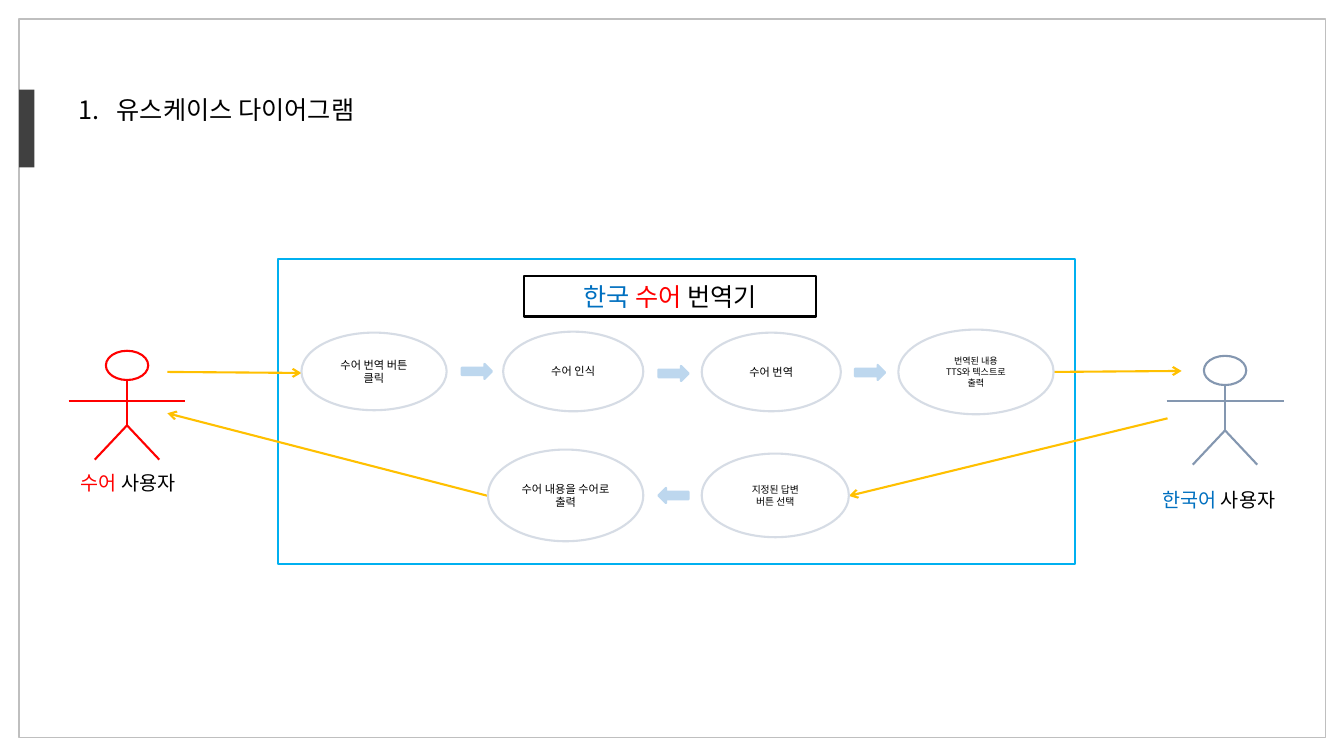
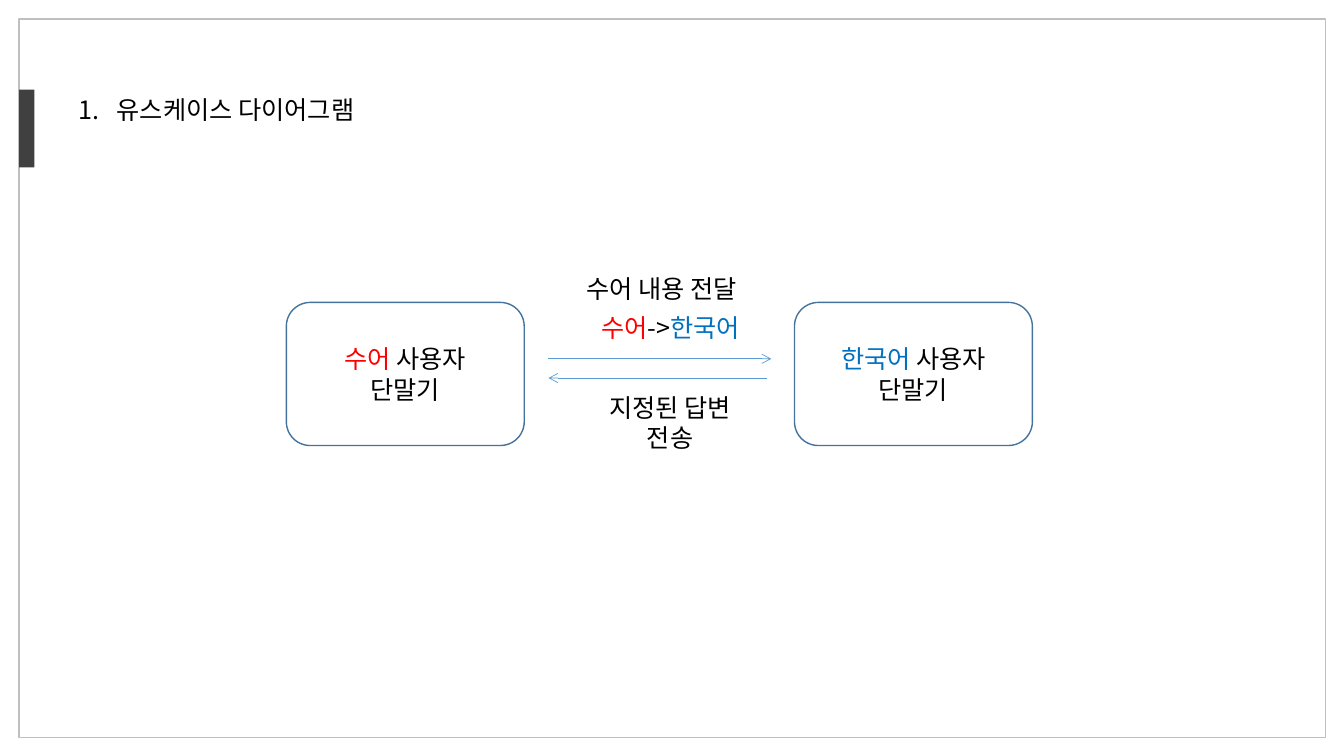
from dataclasses import dataclass

from lxml import etree
from pptx import Presentation
from pptx.dml.color import RGBColor
from pptx.enum import shapes, text
from pptx.oxml import ns
from pptx.util import Inches, Pt

FONT = "Noto Sans CJK KR"
BLACK, WHITE, RED, BLUE = "000000", "FFFFFF", "FF0000", "0070C0"
GREY, DARK, CYAN, SLATE = "BFBFBF", "404040", "00B0F0", "8497B0"
GOLD, PALE, MIST, NAVY, SKY = "FFC000", "BDD7EE", "D6DCE5", "43739E", "5B9BD5"

KIND = shapes.MSO_SHAPE
LEFT, MID = text.PP_ALIGN.LEFT, text.PP_ALIGN.CENTER
TOP, CENTER = text.MSO_ANCHOR.TOP, text.MSO_ANCHOR.MIDDLE

Box = tuple[float, float, float, float]
Spot = tuple[float, float]
Paras = list[list[tuple[str, str]]]  # paragraphs of (words, colour) runs


@dataclass
class Step:
    box: Box
    size: float
    lines: list[str]


@dataclass
class User:
    x: float
    top: float
    color: str
    label: Box
    runs: list[tuple[str, str]]


@dataclass
class Device:
    x: float
    name: str
    color: str


@dataclass
class Note:
    box: Box
    paras: Paras
    align: text.PP_ALIGN = MID
    wrap: bool = False


@dataclass
class Link:
    start: Spot
    end: Spot


STEPS = [
    Step((2.99, 3.3, 1.44, 0.77), 8, ["수어 번역 버튼 클릭"]),
    Step((4.99, 3.29, 1.39, 0.79), 8, ["수어 인식"]),
    Step((6.96, 3.3, 1.38, 0.78), 8, ["수어 번역"]),
    Step((8.91, 3.27, 1.54, 0.84), 6.5, ["번역된 내용", "TTS와 텍스트로", "출력"]),
    Step((6.96, 4.5, 1.46, 0.83), 7, ["지정된 답변", "버튼 선택"]),
    Step((4.84, 4.46, 1.54, 0.91), 8, ["수어 내용을 수어로 출력"]),
]
FLOWS = [(4.58, 3.61, 0), (6.53, 3.63, 0), (8.48, 3.62, 0), (6.53, 4.84, 180)]
USERS = [
    User(1.26, 3.48, RED, (0.7, 4.62, 1.25, 0.34),
         [("수어", RED), (" 사용자", BLACK)]),
    User(12.15, 3.53, SLATE, (11.43, 4.79, 1.44, 0.34),
         [("한국어 ", BLUE), ("사용자", BLACK)]),
]
CALLS = [
    Link((1.66, 3.69), (2.99, 3.7)),
    Link((10.45, 3.69), (11.72, 3.68)),
    Link((4.84, 4.92), (1.66, 4.1)),
    Link((11.58, 4.15), (8.42, 4.92)),
]
DEVICES = [Device(2.84, "수어 ", RED), Device(7.88, "한국어 ", BLUE)]
NOTES = [
    Note((5.72, 2.66, 1.9, 0.4), [[("수어 내용 전달", BLACK)]], LEFT),
    Note((5.65, 3.05, 2, 0.4),
         [[("수어", RED), ("->", BLACK), ("한국어", BLUE)]], wrap=True),
    Note((5.87, 3.84, 1.55, 0.71),
         [[("지정된 답변", BLACK)], [("전송", BLACK)]]),
]
SENDS = [Link((5.44, 3.56), (7.65, 3.56)), Link((7.61, 3.75), (5.44, 3.75))]


def rgb(code: str) -> RGBColor:
    return RGBColor.from_string(code)


def write(shape, paras: Paras, size: float, align=MID, anchor=CENTER) -> None:
    frame = shape.text_frame
    frame.vertical_anchor = anchor
    for i, runs in enumerate(paras):
        para = frame.add_paragraph() if i else frame.paragraphs[0]
        para.alignment = align
        for words, color in runs:
            run = para.add_run()
            run.text = words
            font = run.font
            font.size, font.name = Pt(size), FONT
            font.color.rgb = rgb(color)
            east = etree.SubElement(run._r.get_or_add_rPr(), ns.qn("a:ea"))
            east.set("typeface", FONT)


def draw(slide, kind, box: Box, fill: str = "", line: str = "",
         width: float = 1.5):
    """Add a preset shape; an empty colour means no fill or no line."""
    shape = slide.shapes.add_shape(kind, *map(Inches, box))
    shape.shadow.inherit = False
    if fill:
        shape.fill.solid()
        shape.fill.fore_color.rgb = rgb(fill)
    else:
        shape.fill.background()
    if line:
        shape.line.color.rgb = rgb(line)
        shape.line.width = Pt(width)
    else:
        shape.line.fill.background()
    return shape


def join(slide, start: Spot, end: Spot, color: str, width: float = 1.5,
         head: bool = False) -> None:
    """Add a straight line, with an arrowhead at its end if asked."""
    wire = slide.shapes.add_connector(
        shapes.MSO_CONNECTOR.STRAIGHT, *map(Inches, start + end))
    wire.line.color.rgb = rgb(color)
    wire.line.width = Pt(width)
    if head:
        tip = etree.SubElement(wire.line._get_or_add_ln(), ns.qn("a:tailEnd"))
        tip.set("type", "arrow")
    etree.SubElement(wire._element.spPr, ns.qn("a:effectLst"))


def label(slide, box: Box, paras: Paras, size: float, align=LEFT,
          wrap: bool = False):
    area = slide.shapes.add_textbox(*map(Inches, box))
    area.text_frame.word_wrap = wrap
    area.text_frame.auto_size = text.MSO_AUTO_SIZE.SHAPE_TO_FIT_TEXT
    write(area, paras, size, align, TOP)
    return area


def start(deck):
    """Add a slide with the shared border, side band and numbered title."""
    slide = deck.slides.add_slide(deck.slide_layouts[6])
    draw(slide, KIND.RECTANGLE, (0.19, 0.19, 12.96, 7.13), line=GREY, width=1)
    draw(slide, KIND.RECTANGLE, (0.19, 0.89, 0.15, 0.77), DARK)
    title = label(slide, (0.68, 0.89, 3.19, 0.4),
                  [[("유스케이스 다이어그램", BLACK)]], 18)
    props = title.text_frame.paragraphs[0]._p.get_or_add_pPr()
    props.set("marL", str(Inches(0.38)))
    props.set("indent", str(Inches(-0.38)))
    etree.SubElement(props, ns.qn("a:buAutoNum")).set("type", "arabicPeriod")
    return slide


def person(slide, user: User) -> None:
    x, neck, hip = user.x, user.top + 0.29, user.top + 0.74
    foot, arm = hip + 0.34, 3.98
    draw(slide, KIND.OVAL, (x - 0.21, user.top, 0.42, 0.29), WHITE, user.color)
    for a, b in [((x, neck), (x, hip)), ((x, hip), (x + 0.32, foot)),
                 ((x, hip), (x - 0.32, foot)),
                 ((x - 0.58, arm), (x + 0.58, arm))]:
        join(slide, a, b, user.color)
    label(slide, user.label, [user.runs], 14)


def cases(deck) -> None:
    slide = start(deck)
    draw(slide, KIND.RECTANGLE, (2.76, 2.57, 7.9, 3.03), WHITE, CYAN)
    name = draw(slide, KIND.RECTANGLE, (5.2, 2.74, 2.89, 0.4), line=BLACK)
    write(name, [[("한국 ", BLUE), ("수어", RED), (" 번역기", BLACK)]], 18,
          anchor=TOP)
    for user in USERS:
        person(slide, user)
    for x, y, turn in FLOWS:
        flow = draw(slide, KIND.RIGHT_ARROW, (x, y, 0.3, 0.15), PALE, PALE)
        flow.rotation = turn
    for call in CALLS:
        join(slide, call.start, call.end, GOLD, head=True)
    for step in STEPS:
        oval = draw(slide, KIND.OVAL, step.box, WHITE, MIST)
        write(oval, [[(line, BLACK)] for line in step.lines], step.size)


def devices(deck) -> None:
    slide = start(deck)
    for unit in DEVICES:
        card = draw(slide, KIND.ROUNDED_RECTANGLE, (unit.x, 3, 2.36, 1.42),
                    WHITE, NAVY, 1)
        write(card, [[(unit.name, unit.color), ("사용자", BLACK)],
                     [("단말기", BLACK)]], 18)
    for note in NOTES:
        label(slide, note.box, note.paras, 18, note.align, note.wrap)
    for send in SENDS:
        join(slide, send.start, send.end, SKY, 0.5, head=True)


def main() -> None:
    deck = Presentation()
    deck.slide_width, deck.slide_height = Inches(13.33), Inches(7.5)
    cases(deck)
    devices(deck)
    deck.save("out.pptx")


if __name__ == "__main__":
    main()
